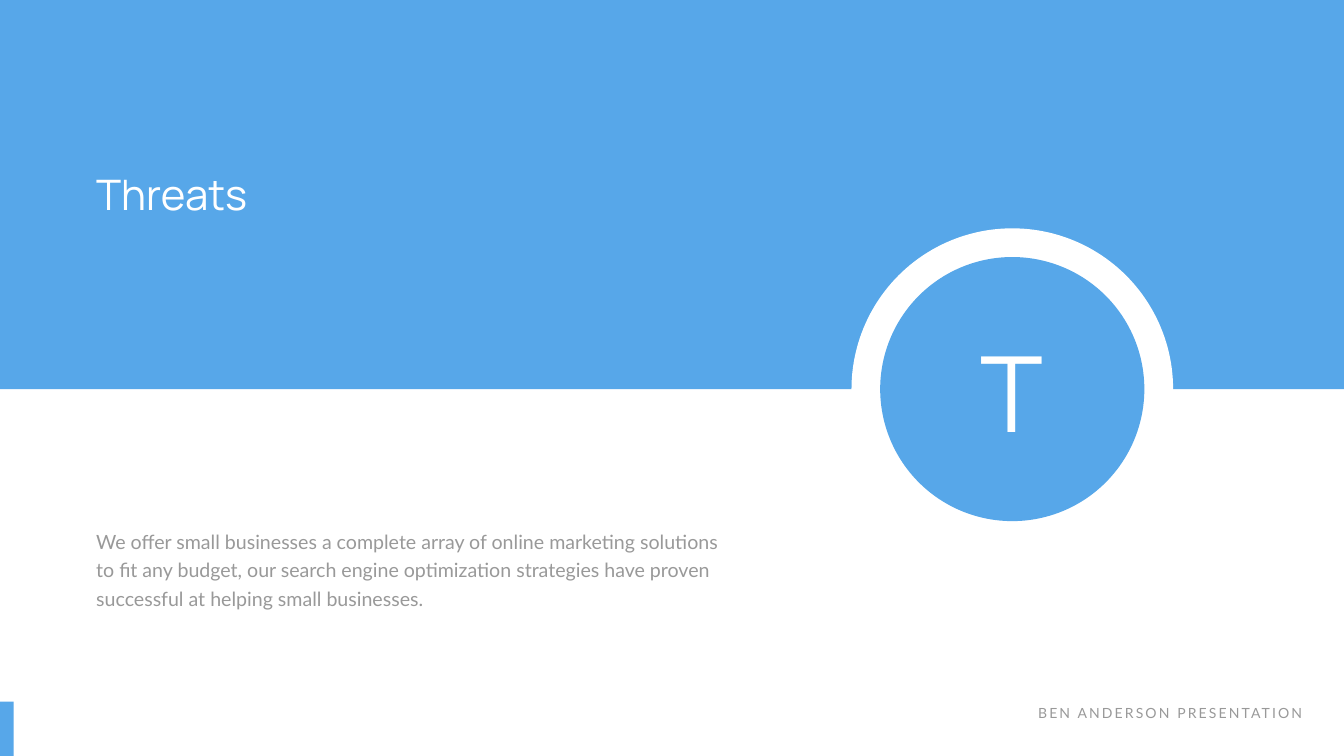
from dataclasses import dataclass

from pptx import Presentation
from pptx.dml.color import RGBColor
from pptx.enum.shapes import MSO_SHAPE
from pptx.enum.text import MSO_AUTO_SIZE, PP_ALIGN
from pptx.util import Pt

EMU_PER_PX = 9144  # 100 px to the inch
SLIDE_WIDTH, SLIDE_HEIGHT = 2666, 1500


@dataclass(frozen=True)
class Theme:
    accent: RGBColor = RGBColor(0x57, 0xA7, 0xE9)
    light: RGBColor = RGBColor(0xFF, 0xFF, 0xFF)
    muted: RGBColor = RGBColor(0x99, 0x99, 0x99)
    heading_font: str = "Manrope"
    body_font: str = "Lato"
    letter_size: int = 150
    title_size: int = 60
    body_size: int = 28
    footer_size: int = 20
    body_leading: float = 40.8
    footer_tracking: int = 3


def px(*lengths):
    return [length * EMU_PER_PX for length in lengths]


class SlideBuilder:
    def __init__(self, slide, theme):
        self.slide = slide
        self.theme = theme

    def shape(self, preset, box, color, parent=None):
        part = (parent or self.slide).shapes.add_shape(preset, *px(*box))
        part.shadow.inherit = False
        part.fill.solid()
        part.fill.fore_color.rgb = color
        part.line.fill.background()

    def text(self, words, box, font, size, color, parent=None, tracking=None, **paragraph_format):
        """Add a one-paragraph box; tracking is letter spacing in points."""
        frame = (parent or self.slide).shapes.add_textbox(*px(*box)).text_frame
        frame.word_wrap = True
        frame.auto_size = MSO_AUTO_SIZE.SHAPE_TO_FIT_TEXT
        paragraph = frame.paragraphs[0]
        for attribute, value in paragraph_format.items():
            setattr(paragraph, attribute, value)
        run = paragraph.add_run()
        run.text = words
        for attribute, value in {"name": font, "size": Pt(size)}.items():
            setattr(run.font, attribute, value)
        run.font.color.rgb = color
        if tracking:
            run._r.get_or_add_rPr().set("spc", str(tracking * 100))

    def badge(self, letter, center, radius, ring, letter_box):
        """Group a ringed disc and its letter."""
        theme = self.theme
        group = self.slide.shapes.add_group_shape()
        for reach, color in ((radius + ring, theme.light), (radius, theme.accent)):
            box = (center[0] - reach, center[1] - reach, 2 * reach, 2 * reach)
            self.shape(MSO_SHAPE.OVAL, box, color, group)
        self.text(letter, letter_box, theme.heading_font, theme.letter_size,
                  theme.light, group, alignment=PP_ALIGN.CENTER)


def main():
    presentation = Presentation()
    presentation.slide_width, presentation.slide_height = px(SLIDE_WIDTH, SLIDE_HEIGHT)
    theme = Theme()
    builder = SlideBuilder(
        presentation.slides.add_slide(presentation.slide_layouts[6]), theme)

    left_margin = 181
    band_height = 772
    footer_top = 1392

    builder.shape(MSO_SHAPE.RECTANGLE, (0, 0, SLIDE_WIDTH, band_height), theme.accent)
    builder.badge("T", center=(2008, band_height), radius=262, ring=57,
                  letter_box=(1826, 645, 364, 263))
    builder.text(
        "We offer small businesses a complete array of online marketing solutions "
        "to fit any budget, our search engine optimization strategies have proven "
        "successful at helping small businesses.",
        (left_margin, 1036, 1271, 177), theme.body_font, theme.body_size, theme.muted,
        line_spacing=Pt(theme.body_leading))
    builder.text("BEN ANDERSON PRESENTATION", (2008, footer_top, 585, 44),
                 theme.body_font, theme.footer_size, theme.muted,
                 tracking=theme.footer_tracking, alignment=PP_ALIGN.RIGHT)
    builder.shape(MSO_SHAPE.RECTANGLE,
                  (0, footer_top, 27, SLIDE_HEIGHT - footer_top), theme.accent)
    builder.text("Threats", (left_margin, 330, 457, 111),
                 theme.heading_font, theme.title_size, theme.light)

    presentation.save("out.pptx")


if __name__ == "__main__":
    main()
